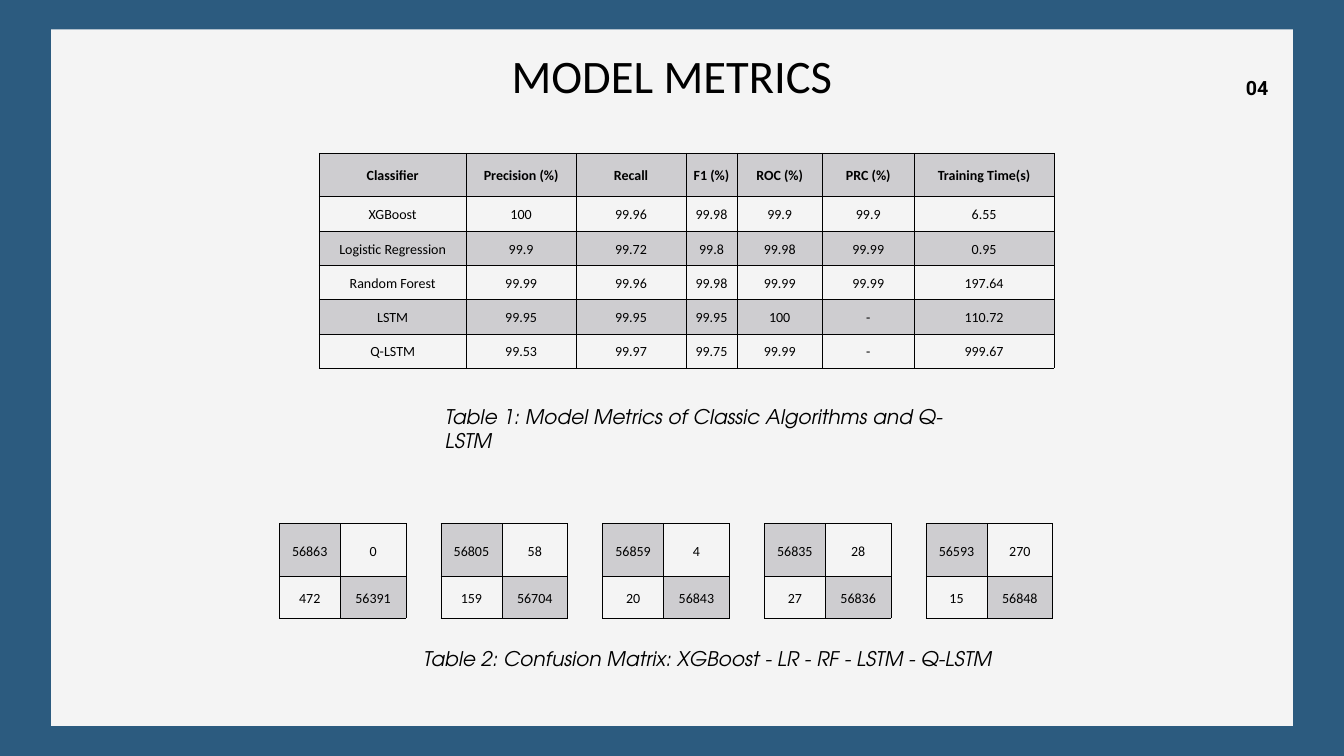
import pptx
import pptx.util
import pptx.dml.color
import pptx.enum.shapes
import pptx.enum.text
import pptx.oxml
import pptx.oxml.ns

PX = 9525  # EMU per px, 96 px to the inch
COLORS = {"frame": "2C5B7F", "panel": "F4F4F4", "shade": "CECDD0", "ink": "000000"}
ALIGN = pptx.enum.text.PP_ALIGN

METRICS = [
    ["Classifier", "Precision (%)", "Recall", "F1 (%)", "ROC (%)", "PRC (%)", "Training Time(s)"],
    ["XGBoost", "100", "99.96", "99.98", "99.9", "99.9", "6.55"],
    ["Logistic Regression", "99.9", "99.72", "99.8", "99.98", "99.99", "0.95"],
    ["Random Forest", "99.99", "99.96", "99.98", "99.99", "99.99", "197.64"],
    ["LSTM", "99.95", "99.95", "99.95", "100", "-", "110.72"],
    ["Q-LSTM", "99.53", "99.97", "99.75", "99.99", "-", "999.67"],
]
CONFUSION = [
    [["56863", "0"], ["472", "56391"]],
    [["56805", "58"], ["159", "56704"]],
    [["56859", "4"], ["20", "56843"]],
    [["56835", "28"], ["27", "56836"]],
    [["56593", "270"], ["15", "56848"]],
]


def rgb(name):
    return pptx.dml.color.RGBColor.from_string(COLORS[name])


def px(*lengths):
    return [pptx.util.Emu(n * PX) for n in lengths]


def style(p, font, size, spacing, align, bold=False, italic=False):
    p.alignment = align
    p.line_spacing = pptx.util.Pt(spacing)
    p.font.name = font
    p.font.size = pptx.util.Pt(size)
    p.font.bold = bold
    p.font.italic = italic
    p.font.color.rgb = rgb("ink")


def add_text(s, box, text, *args, **kwargs):
    tf = s.shapes.add_textbox(*px(*box)).text_frame
    tf.word_wrap = True
    tf.margin_left = tf.margin_right = tf.margin_top = tf.margin_bottom = 0
    p = tf.paragraphs[0]
    p.text = text
    style(p, *args, **kwargs)


def add_caption(s, box, text):
    add_text(s, box, text, "TeX Gyre Adventor", 21.6, 26.3, ALIGN.LEFT, italic=True)


def add_borders(cell):
    tcPr = cell._tc.get_or_add_tcPr()
    for side in ("lnL", "lnR", "lnT", "lnB"):
        tcPr.append(pptx.oxml.parse_xml(
            f'<a:{side} {pptx.oxml.ns.nsdecls("a")} w="{PX}"><a:solidFill>'
            f'<a:srgbClr val="{COLORS["ink"]}"/></a:solidFill></a:{side}>'))


def add_grid(s, x, y, cols, rows, values, shaded, header=False):
    """Bordered table; shaded(row, col) tells which cells are grey."""
    frame = s.shapes.add_table(len(rows), len(cols), *px(x, y, sum(cols), sum(rows)))
    table = frame.table
    table.first_row = header
    table.horz_banding = False
    for column, width in zip(table.columns, cols):
        column.width = px(width)[0]
    for row, height in zip(table.rows, rows):
        row.height = px(height)[0]
    for r, line in enumerate(values):
        for c, value in enumerate(line):
            cell = table.cell(r, c)
            cell.margin_left = cell.margin_right = cell.margin_top = cell.margin_bottom = px(6)[0]
            cell.vertical_anchor = pptx.enum.text.MSO_ANCHOR.MIDDLE
            add_borders(cell)
            if shaded(r, c):
                cell.fill.solid()
                cell.fill.fore_color.rgb = rgb("shade")
            else:
                cell.fill.background()
            p = cell.text_frame.paragraphs[0]
            p.text = value
            style(p, "Calibri", 15, 21, ALIGN.CENTER, bold=header and r == 0)


def add_panel(s, box):
    s.background.fill.solid()
    s.background.fill.fore_color.rgb = rgb("frame")
    sp = s.shapes.add_shape(pptx.enum.shapes.MSO_SHAPE.RECTANGLE, *px(*box))
    sp.shadow.inherit = False
    sp.fill.solid()
    sp.fill.fore_color.rgb = rgb("panel")
    sp.line.fill.background()


def add_heading(s, x, y):
    add_text(s, (x, y, 1008, 82), "MODEL METRICS", "Calibri", 49.9, 60.9, ALIGN.CENTER)
    add_text(s, (x + 902, y + 37, 454, 38), "04", "Roboto", 21, 29.4, ALIGN.RIGHT, bold=True)


def add_metrics(s, x, y):
    add_grid(s, x, y, [210, 157, 157, 73, 122, 131, 200], [62] + [49] * 5,
             METRICS, lambda r, c: r % 2 == 0, header=True)
    add_caption(s, (x + 180, y + 358, 760, 36),
                "Table 1: Model Metrics of Classic Algorithms and Q-LSTM")


def add_confusion(s, x, y, pitch=231):
    for i, matrix in enumerate(CONFUSION):
        add_grid(s, x + i * pitch, y, [87, 94], [76, 59], matrix,
                 lambda r, c: r == c)
    add_caption(s, (x + 206, y + 175, 825, 36),
                "Table 2: Confusion Matrix: XGBoost - LR - RF - LSTM - Q-LSTM")


def main():
    prs = pptx.Presentation()
    prs.slide_width, prs.slide_height = px(1920, 1080)
    s = prs.slides.add_slide(prs.slide_layouts[6])
    add_panel(s, (73, 42, 1774, 995))
    add_heading(s, 456, 66)
    add_metrics(s, 456, 219)
    add_confusion(s, 399, 748)
    prs.save("out.pptx")


if __name__ == "__main__":
    main()
